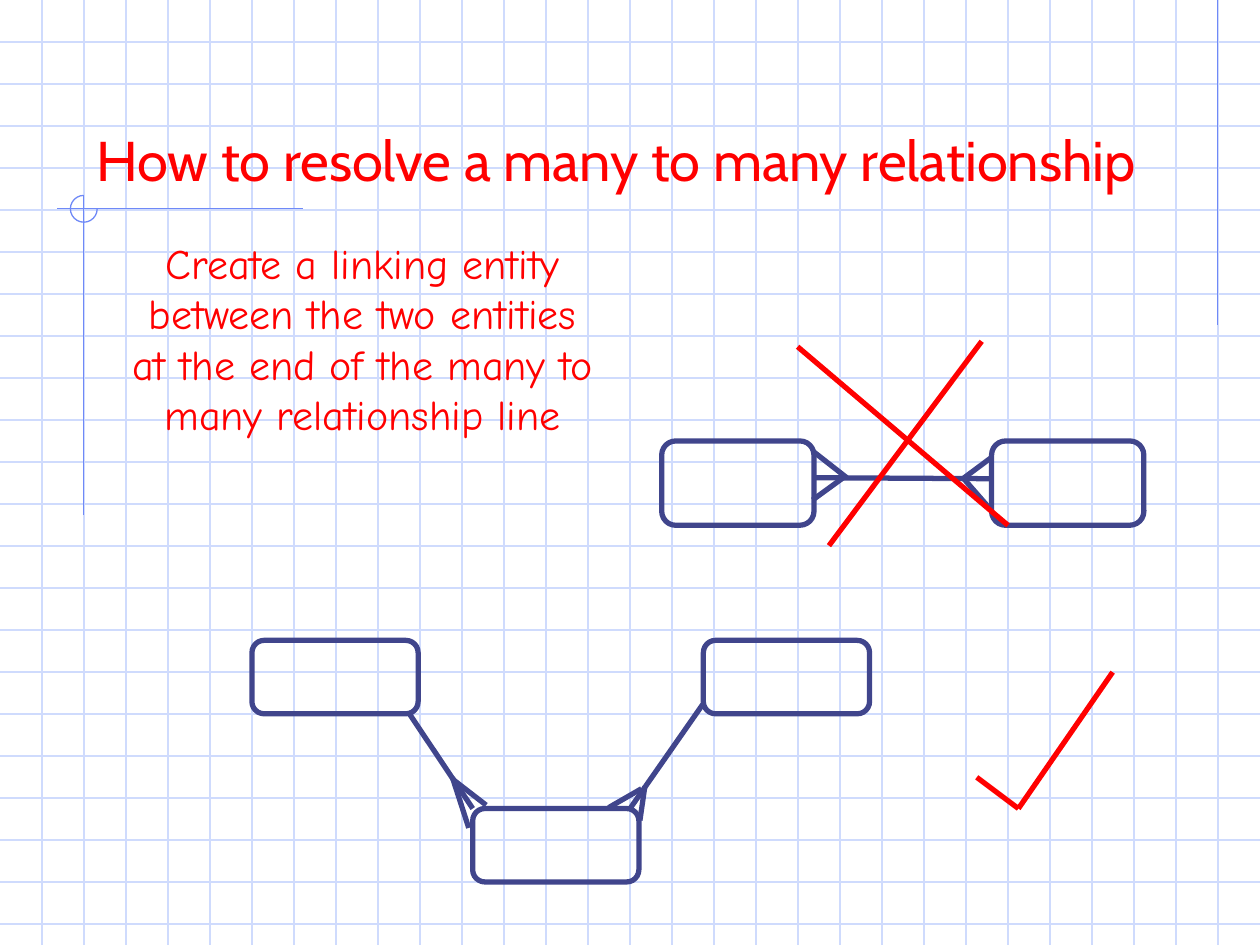
from lxml import etree
from pptx import Presentation
from pptx import util as u
from pptx.dml import color
from pptx.enum import shapes, text
from pptx.oxml import ns

HUES = {"grid": "CFDBFD", "trim": "6F89F7", "ink": "40458C", "red": "FF0000"}
WIDE, HIGH = 25.4, 19.05
STEP = WIDE / 30


class Sheet:
    """Holds the style and the current slide, and draws each kind of element."""

    def __init__(self, slide, hues):
        self.slide = slide
        self.hues = hues

    def tint(self, name):
        return color.RGBColor.from_string(self.hues[name])

    def edge(self, item, hue, width):
        item.line.color.rgb = self.tint(hue)
        item.line.width = u.Pt(width)

    def line(self, ends, hue, width=3):
        link = self.slide.shapes.add_connector(
            shapes.MSO_CONNECTOR.STRAIGHT, *map(u.Cm, ends))
        self.edge(link, hue, width)
        etree.SubElement(link._element.spPr, ns.qn("a:effectLst"))

    def shape(self, kind, area, hue, width=3):
        form = self.slide.shapes.add_shape(kind, *map(u.Cm, area))
        form.shadow.inherit = False
        form.fill.background()
        self.edge(form, hue, width)
        return form

    def box(self, area):
        self.shape(shapes.MSO_SHAPE.FLOWCHART_ALTERNATE_PROCESS, area, "ink")

    def arc(self, area, turn):
        form = self.shape(shapes.MSO_SHAPE.ARC, area, "trim", 0.75)
        for spot, angle in enumerate(turn):
            form.adjustments[spot] = angle * 0.6

    def text(self, words, area, face, size, align, anchor):
        frame = self.slide.shapes.add_textbox(*map(u.Cm, area)).text_frame
        for key, value in {"word_wrap": True, "vertical_anchor": anchor}.items():
            setattr(frame, key, value)
        para = frame.paragraphs[0]
        para.alignment = align
        run = para.add_run()
        run.text = words
        for key, value in {"name": face, "size": u.Pt(size)}.items():
            setattr(run.font, key, value)
        run.font.color.rgb = self.tint("red")


def main():
    deck = Presentation()
    for key, value in {"slide_width": WIDE, "slide_height": HIGH}.items():
        setattr(deck, key, u.Cm(value))
    sheet = Sheet(deck.slides.add_slide(deck.slide_layouts[6]), HUES)

    for row in range(1, 23):
        sheet.line((0, row * STEP, WIDE, row * STEP), "grid", 0.75)
    for col in range(1, 30):
        sheet.line((col * STEP, 0, col * STEP, HIGH), "grid", 0.75)

    trim = [(24.55, 0, 24.55, 6.55), (6.1, 4.2, 1.14, 4.2), (1.69, 3.94, 1.69, 10.39)]
    for ends in trim:
        sheet.line(ends, "trim", 0.75)
    sheet.arc((1.42, 3.94, 0.54, 0.54), (0, 270))

    sheet.text("How to resolve a many to many relationship",
               (1.69, 0.85, 21.59, 3.17), "Cabin", 32,
               text.PP_ALIGN.LEFT, text.MSO_ANCHOR.BOTTOM)
    sheet.text("Create a linking entity between the two entities "
               "at the end of the many to many relationship line",
               (2.33, 4.66, 9.95, 4.32), "Comic Neue", 24,
               text.PP_ALIGN.CENTER, text.MSO_ANCHOR.TOP)

    for left in (13.34, 19.99):
        sheet.box((left, 8.89, 3.07, 1.7))
    for left, top in ((5.08, 12.91), (14.18, 12.91), (9.53, 16.3)):
        sheet.box((left, top, 3.35, 1.48))

    direct = [
        (16.43, 9.63, 19.96, 9.65),
        (19.41, 9.63, 19.96, 10.26), (19.41, 9.65, 19.99, 9.22),
        (16.38, 9.09, 17.07, 9.63), (16.38, 10.08, 17.04, 9.6),
    ]
    linked = [
        (8.26, 14.4, 9.53, 16.3), (14.18, 14.18, 12.7, 16.3),
        (9.14, 15.72, 9.8, 16.23), (9.12, 15.67, 9.45, 16.69),
        (12.93, 15.9, 12.27, 16.28), (13, 15.85, 12.9, 16.54),
    ]
    cross = [(16.08, 6.99, 20.32, 10.59), (19.79, 6.88, 16.71, 11)]
    tick = [(19.69, 15.67, 20.53, 16.3), (20.53, 16.3, 22.43, 13.55)]
    for hue, group in (("ink", direct + linked), ("red", cross + tick)):
        for ends in group:
            sheet.line(ends, hue)

    deck.save("out.pptx")


if __name__ == "__main__":
    main()
